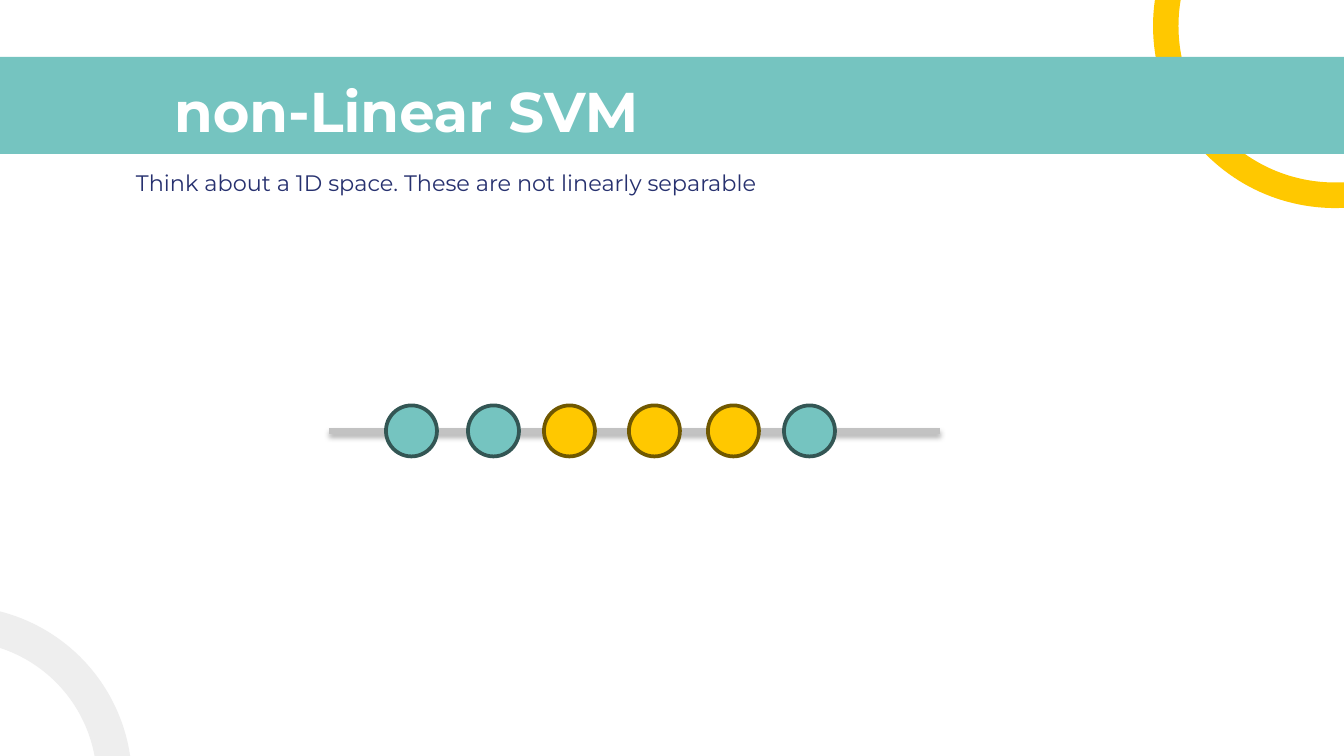
from lxml.etree import SubElement
from pptx import Presentation
from pptx.dml.color import RGBColor as Rgb
from pptx.enum.shapes import MSO_CONNECTOR as Link, MSO_SHAPE as Kind
from pptx.enum.text import MSO_ANCHOR as Anchor, PP_ALIGN as Align
from pptx.oxml.ns import qn
from pptx.util import Pt

WIDE, HIGH = 1344, 756
SCALE = 9144000 / WIDE

WHITE = Rgb(0xFF, 0xFF, 0xFF)
TEAL = Rgb(0x75, 0xC4, 0xC0)
PINE = Rgb(0x33, 0x56, 0x54)
GOLD = Rgb(0xFF, 0xC8, 0x00)
BROWN = Rgb(0x70, 0x58, 0x00)
NAVY = Rgb(0x27, 0x31, 0x6F)
PALE = Rgb(0xEE, 0xEE, 0xEE)
GREY = Rgb(0xC2, 0xC2, 0xC2)


def emu(px):
    return round(px * SCALE)


class Deck:
    """Holds the text style and the current slide."""

    font = "Montserrat"
    inset = 13

    def __init__(self):
        self.prs = Presentation()
        self.prs.slide_width, self.prs.slide_height = emu(WIDE), emu(HIGH)
        self.slide = self.prs.slides.add_slide(self.prs.slide_layouts[5])
        self.shapes = self.slide.shapes

    def shape(self, kind, box, fill, edge=None):
        item = self.shapes.add_shape(kind, *map(emu, box))
        item.shadow.inherit = False
        item.fill.solid()
        item.fill.fore_color.rgb = fill
        if edge:
            item.line.color.rgb = edge
            item.line.width = Pt(2)
        else:
            item.line.fill.background()
        return item

    def arc(self, box, fill, turn, *bends):
        item = self.shape(Kind.BLOCK_ARC, box, fill)
        item.rotation = turn
        for i, bend in enumerate(bends):
            item.adjustments[i] = bend

    def text(self, item, words, size, color, bold=False):
        frame = item.text_frame
        frame.word_wrap = True
        frame.vertical_anchor = Anchor.TOP
        frame.margin_left = frame.margin_right = emu(self.inset)
        frame.margin_top = frame.margin_bottom = emu(self.inset)
        para = frame.paragraphs[0]
        para.alignment = Align.LEFT
        run = para.add_run()
        run.text = words
        run.font.name, run.font.size, run.font.bold = self.font, Pt(size), bold
        run.font.color.rgb = color
        return para

    def title(self, box, words):
        item = self.shapes.title
        item.left, item.top, item.width, item.height = map(emu, box)
        # The band is drawn first, so the title must come to the front.
        item.element.getparent().append(item.element)
        self.text(item, words, 30, WHITE, True)

    def note(self, box, words):
        item = self.shapes.add_textbox(*map(emu, box))
        props = self.text(item, words, 12, NAVY)._p.get_or_add_pPr()
        props.set("marL", str(emu(67)))
        props.set("indent", str(emu(-47)))

    def axis(self, left, right, y):
        """Draws a level line with a soft shadow below it."""
        line = self.shapes.add_connector(Link.STRAIGHT, *map(emu, (left, y, right, y)))
        line.line.color.rgb = GREY
        line.line.width = Pt(3)
        effects = SubElement(line.element.spPr, qn("a:effectLst"))
        shade = SubElement(effects, qn("a:outerShdw"), blurRad=str(Pt(3.1)),
                           dist=str(Pt(1.8)), dir="5400000", rotWithShape="0")
        tone = SubElement(shade, qn("a:srgbClr"), val="000000")
        SubElement(tone, qn("a:alpha"), val="35000")

    def dots(self, lefts, y, size, fill, edge):
        for x in lefts:
            self.shape(Kind.OVAL, (x, y - size / 2, size, size), fill, edge)


def main():
    deck = Deck()
    deck.arc((1153, -156, 364, 364), GOLD, 180, 159.04, 7.23, 0.07)
    deck.shape(Kind.RECTANGLE, (-23, 57, 1390, 97), TEAL)
    deck.arc((-219, 606, 351, 351), PALE, 74.3, 125.82, 166.85, 0.1)
    deck.title((161, 63, 1137, 85), "non-Linear SVM")
    deck.note((103, 156, 1137, 74),
              "Think about a 1D space. These are not linearly separable")
    mid = 431
    deck.axis(329, 940, mid)
    deck.dots((386, 468, 784), mid, 51, TEAL, PINE)
    deck.dots((544, 629, 708), mid, 51, GOLD, BROWN)
    deck.prs.save("out.pptx")


if __name__ == "__main__":
    main()
